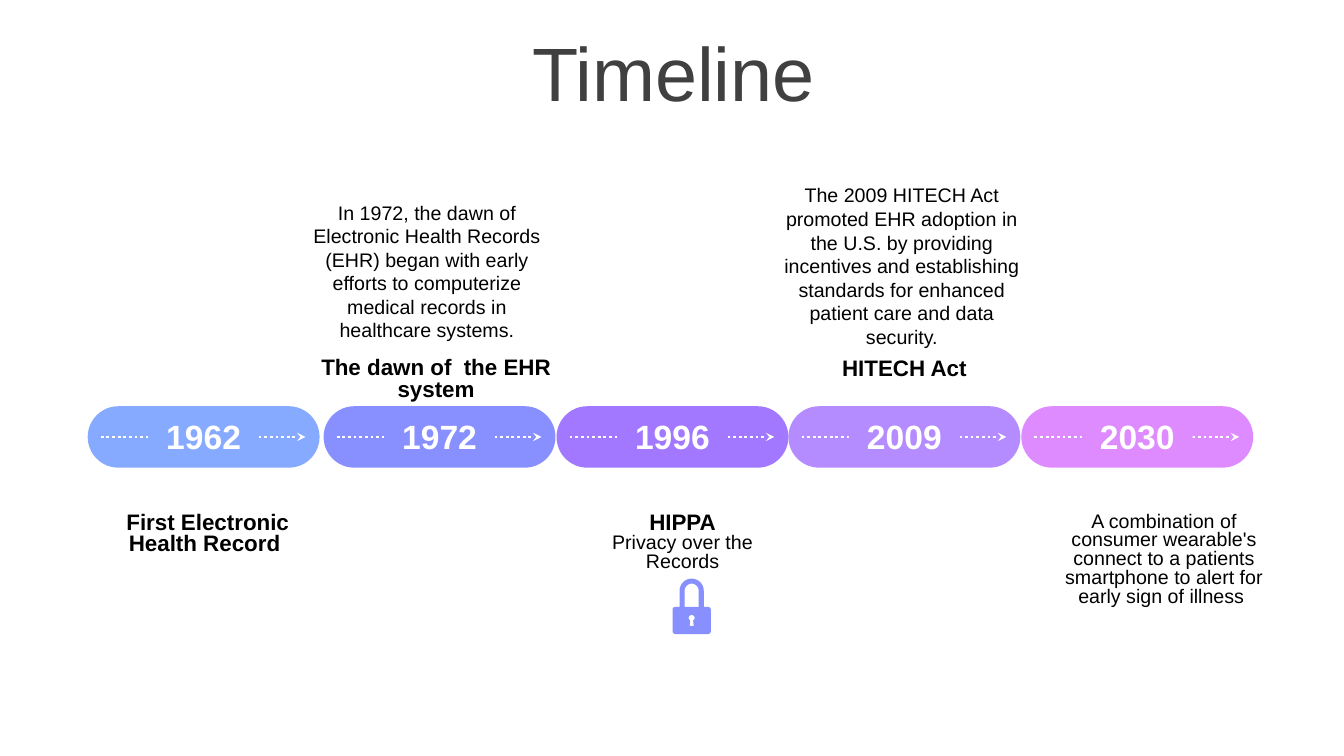
import math

from lxml import etree
from pptx import Presentation
from pptx import util as u
from pptx.dml.color import RGBColor
from pptx.enum import dml, shapes, text
from pptx.oxml.ns import qn

FONT = "Arial"
COLORS = {
    "title": "404040", "text": "000000", "white": "FFFFFF", "lock": "888FFF",
    "1962": "86AAFF", "1972": "888FFF", "1996": "A178FF",
    "2009": "B58CFF", "2030": "DD8BFF",
}
PILL_TOP, PILL_W, PILL_H = 4.03, 2.3, 0.61
PILL_LEFTS = {"1962": 0.87, "1972": 3.21, "1996": 5.52, "2009": 7.82, "2030": 10.13}

# box, line spacing, paragraphs of (wording, size, bold)
CAPTIONS = [
    ((1.15, 5.04, 1.82, 0.75), 0.8, [("First Electronic Health Record ", 16, True)]),
    ((2.97, 1.94, 2.53, 1.51), 1.0, [(
        "In 1972, the dawn of Electronic Health Records (EHR) began with early "
        "efforts to computerize medical records in healthcare systems.", 14, False)]),
    ((3.05, 3.51, 2.55, 0.53), 0.8, [("The dawn of  the EHR system", 16, True)]),
    ((5.86, 5.04, 1.82, 0.69), 0.8, [("HIPPA", 16, True),
                                     ("Privacy over the Records", 14, False)]),
    ((7.68, 1.77, 2.53, 1.75), 1.0, [(
        "The 2009 HITECH Act promoted EHR adoption in the U.S. by providing "
        "incentives and establishing standards for enhanced patient care and "
        "data security.", 14, False)]),
    ((8.06, 3.52, 1.82, 0.32), 0.8, [("HITECH Act", 16, True)]),
    ((10.37, 5.04, 2.35, 1.04), 0.8, [(
        "A combination of consumer wearable's connect to a patients smartphone "
        "to alert for early sign of illness ", 14, False)]),
]


def rgb(name):
    return RGBColor.from_string(COLORS[name])


def inches(box):
    return [u.Inches(v) for v in box]


def write(p, wording, size, color, bold=False, spacing=1.0):
    p.text = wording
    p.alignment = text.PP_ALIGN.CENTER
    p.line_spacing = spacing
    f = p.runs[0].font
    f.name, f.size, f.bold = FONT, u.Pt(size), bold
    f.color.rgb = rgb(color)


def paint(sp, color):
    sp.shadow.inherit = False
    sp.fill.solid()
    sp.fill.fore_color.rgb = rgb(color)
    sp.line.fill.background()


def add_title(slide, box):
    sp = slide.shapes.title
    sp.left, sp.top, sp.width, sp.height = inches(box)
    tf = sp.text_frame
    tf.auto_size = text.MSO_AUTO_SIZE.NONE
    tf.vertical_anchor = text.MSO_ANCHOR.MIDDLE
    write(tf.paragraphs[0], "Timeline", 54, "title", spacing=0.9)
    tf.paragraphs[0].space_before = u.Pt(10)


def add_arrow(slide, left, right, y):
    line = slide.shapes.add_connector(
        shapes.MSO_CONNECTOR.STRAIGHT, *inches((left, y, right, y)))
    line.line.color.rgb = rgb("white")
    line.line.width = u.Pt(2)
    line.line.dash_style = dml.MSO_LINE.ROUND_DOT
    etree.SubElement(line.line._get_or_add_ln(), qn("a:tailEnd"), type="stealth")
    etree.SubElement(line._element.spPr, qn("a:effectLst"))


def add_pill(slide, year, box):
    """Rounded bar with a dotted arrow that passes behind the year."""
    left, top, width, height = box
    pill = slide.shapes.add_shape(shapes.MSO_SHAPE.ROUNDED_RECTANGLE, *inches(box))
    pill.adjustments[0] = 0.5
    paint(pill, year)
    add_arrow(slide, left + 0.13, left + width - 0.14, top + height / 2)
    label = slide.shapes.add_shape(
        shapes.MSO_SHAPE.RECTANGLE, *inches((left + 0.6, top + 0.05, 1.1, 0.5)))
    paint(label, year)
    write(label.text_frame.paragraphs[0], year, 24, "white", bold=True)


def add_caption(slide, box, spacing, paragraphs):
    tf = slide.shapes.add_textbox(*inches(box)).text_frame
    tf.word_wrap = True
    for i, (wording, size, bold) in enumerate(paragraphs):
        p = tf.add_paragraph() if i else tf.paragraphs[0]
        write(p, wording, size, "text", bold, spacing)


def arc(cx, cy, radius, start, end, steps=16):
    """Points along a circle, angles in degrees clockwise from the right."""
    angles = [math.radians(start + (end - start) * i / steps) for i in range(steps + 1)]
    return [(cx + radius * math.cos(a), cy + radius * math.sin(a)) for a in angles]


def add_lock(slide, left, top):
    """Padlock 0.38 wide and 0.55 high, with open shackle and keyhole."""
    body = [(0.35, 0.31), (0.35, 0.52), (0.03, 0.52), (0.03, 0.31)]
    outline = arc(0.19, 0.12, 0.12, 180, 360) + [(0.31, 0.28)]
    for i, (cx, cy) in enumerate(body):
        outline += arc(cx, cy, 0.03, 270 + 90 * i, 360 + 90 * i)
    outline.append((0.07, 0.28))
    shackle = arc(0.19, 0.12, 0.07, 180, 360) + [(0.26, 0.28), (0.12, 0.28)]
    keyhole = arc(0.19, 0.39, 0.03, 120, 420) + [(0.21, 0.47), (0.17, 0.47)]

    builder = None
    for contour in (outline, shackle, keyhole):
        points = [inches((left + x, top + y)) for x, y in contour]
        if builder is None:
            builder = slide.shapes.build_freeform(*points[0])
        else:
            builder.move_to(*points[0])
        builder.add_line_segments(points[1:], close=True)
    paint(builder.convert_to_shape(), "lock")


def main():
    prs = Presentation()
    prs.slide_width, prs.slide_height = u.Inches(13.33), u.Inches(7.5)
    slide = prs.slides.add_slide(prs.slide_layouts.get_by_name("Title Only"))
    add_title(slide, (0.35, 0.37, 12.66, 0.79))
    for year, left in PILL_LEFTS.items():
        add_pill(slide, year, (left, PILL_TOP, PILL_W, PILL_H))
    for box, spacing, paragraphs in CAPTIONS:
        add_caption(slide, box, spacing, paragraphs)
    add_lock(slide, 6.67, 5.74)
    prs.save("out.pptx")


if __name__ == "__main__":
    main()
